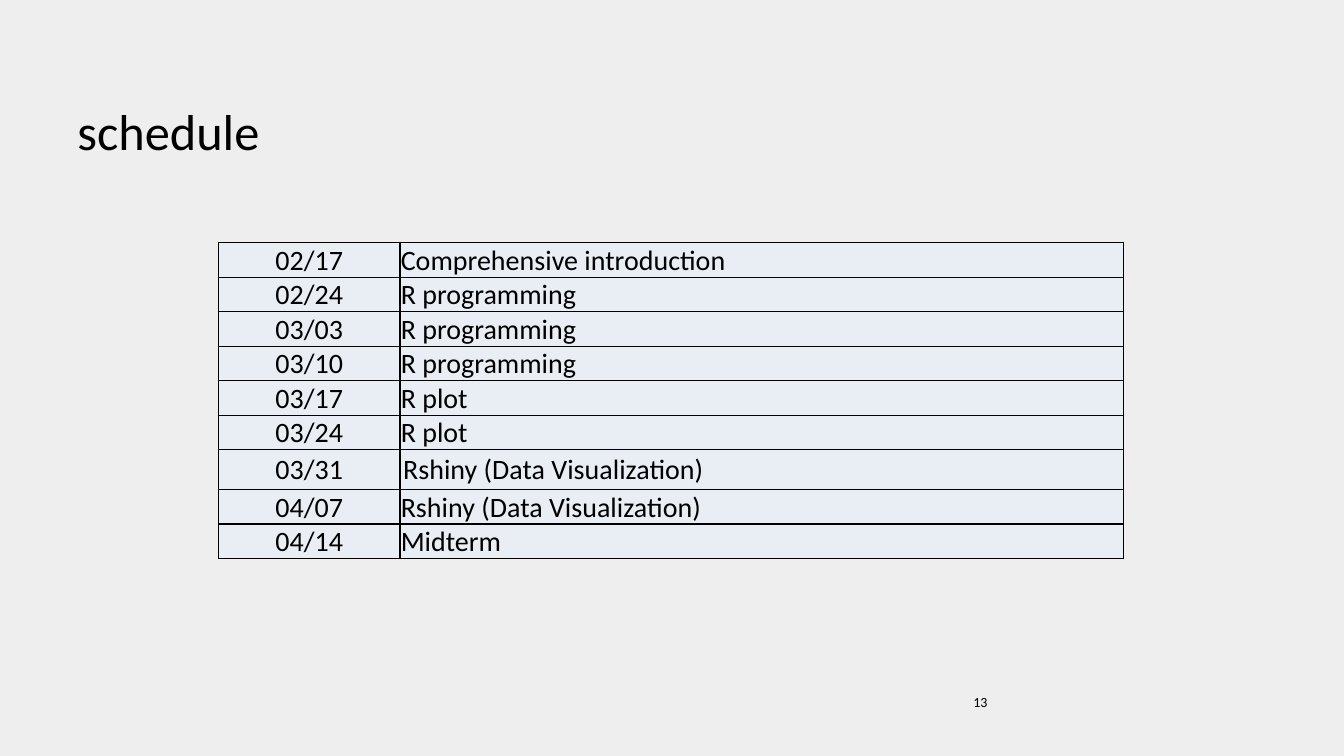
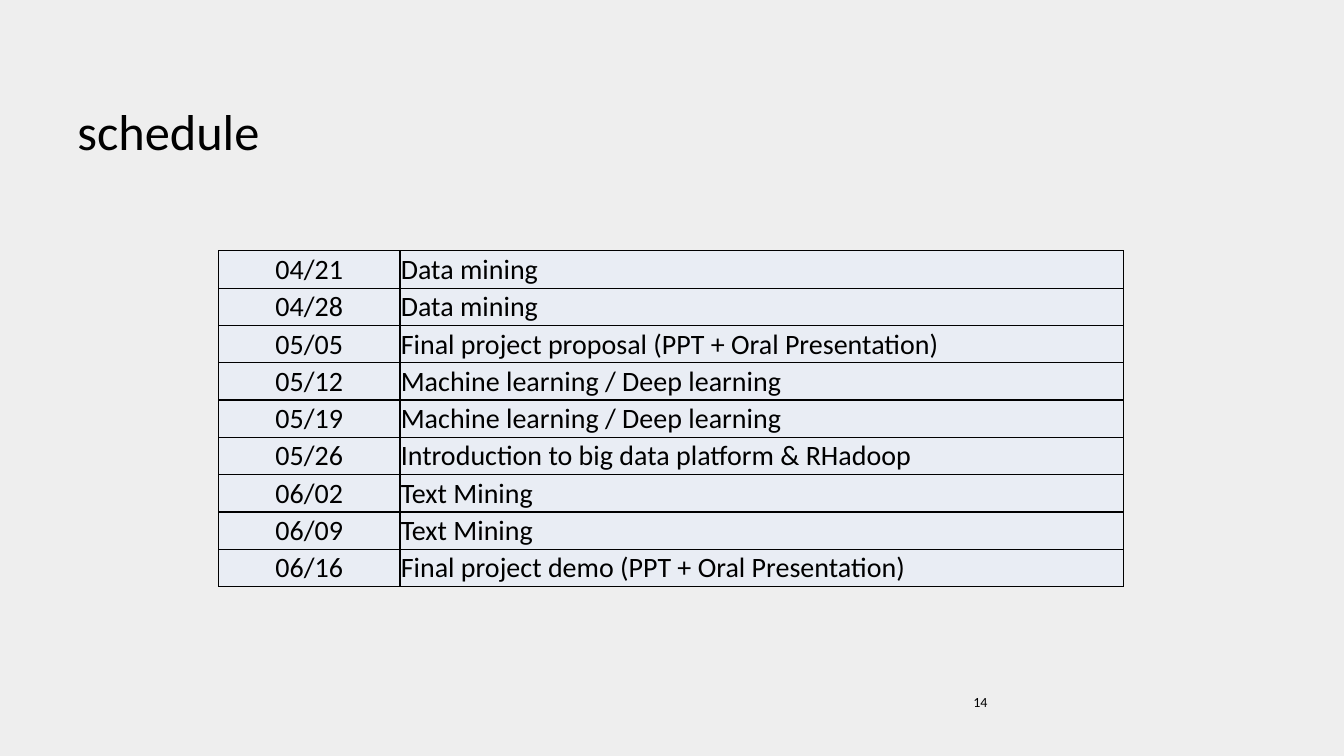
from lxml import etree
from pptx import Presentation
from pptx.dml.color import RGBColor
from pptx.enum import text
from pptx.oxml import ns
from pptx.util import Cm, Pt

TITLE = "schedule"
FONT = "Calibri"
PAPER, INK, CELL = "EEEEEE", "000000", "E9EDF4"
TITLE_BOX = (1.7, 0.99, 30.48, 3.18)
NUMBER_BOX = (24.28, 17.35, 7.9, 1.32)
TABLE_LEFT = 5.51
COLUMNS = (4.57, 18.24)
TIGHT = (0.02, 0.02, 0.02, 0)
ROOMY = (0.08, 0.08, 0.08, 0.08)

SCHEDULES = [
    {
        "number": "13", "top": 6.12, "row_height": 0.79, "roomy_date": "03/31",
        "rows": [
            ("02/17", "Comprehensive introduction"),
            ("02/24", "R programming"),
            ("03/03", "R programming"),
            ("03/10", "R programming"),
            ("03/17", "R plot"),
            ("03/24", "R plot"),
            ("03/31", "Rshiny (Data Visualization)"),
            ("04/07", "Rshiny (Data Visualization)"),
            ("04/14", "Midterm"),
        ],
    },
    {
        "number": "14", "top": 6.32, "row_height": 0.94, "roomy_date": None,
        "rows": [
            ("04/21", "Data mining"),
            ("04/28", "Data mining"),
            ("05/05", "Final project proposal (PPT + Oral Presentation)"),
            ("05/12", "Machine learning / Deep learning"),
            ("05/19", "Machine learning / Deep learning"),
            ("05/26", "Introduction to big data platform & RHadoop"),
            ("06/02", "Text Mining"),
            ("06/09", "Text Mining"),
            ("06/16", "Final project demo (PPT + Oral Presentation)"),
        ],
    },
]


def paint(target, color):
    target.solid()
    target.fore_color.rgb = RGBColor.from_string(color)


def write(frame, words, size, align=text.PP_ALIGN.LEFT):
    frame.text = words
    paragraph = frame.paragraphs[0]
    paragraph.alignment = align
    font = paragraph.runs[0].font
    font.name, font.size = FONT, Pt(size)
    font.color.rgb = RGBColor.from_string(INK)


def add_text(page, place, words, size, anchor):
    box = page.shapes.add_textbox(*map(Cm, place))
    box.text_frame.word_wrap = True
    box.text_frame.vertical_anchor = anchor
    write(box.text_frame, words, size)


def add_borders(cell):
    properties = cell._tc.get_or_add_tcPr()
    for index, side in enumerate(("a:lnL", "a:lnR", "a:lnT", "a:lnB")):
        line = etree.Element(ns.qn(side), w=str(Pt(1)))
        fill = etree.SubElement(line, ns.qn("a:solidFill"))
        etree.SubElement(fill, ns.qn("a:srgbClr"), val=INK)
        properties.insert(index, line)


def fill_cell(cell, words, align, margins):
    write(cell.text_frame, words, 20, align)
    cell.vertical_anchor = text.MSO_ANCHOR.MIDDLE
    (cell.margin_left, cell.margin_right,
     cell.margin_top, cell.margin_bottom) = map(Cm, margins)
    paint(cell.fill, CELL)
    add_borders(cell)


def add_schedule(page, schedule):
    rows = schedule["rows"]
    height = schedule["row_height"]
    table = page.shapes.add_table(
        len(rows), len(COLUMNS), Cm(TABLE_LEFT), Cm(schedule["top"]),
        Cm(sum(COLUMNS)), Cm(height * len(rows))).table
    table.first_row = table.horz_banding = False
    for column, width in zip(table.columns, COLUMNS):
        column.width = Cm(width)
    for index, (date, topic) in enumerate(rows):
        table.rows[index].height = Cm(height)
        margins = ROOMY if date == schedule["roomy_date"] else TIGHT
        fill_cell(table.cell(index, 0), date, text.PP_ALIGN.CENTER, TIGHT)
        fill_cell(table.cell(index, 1), topic, text.PP_ALIGN.LEFT, margins)


def main():
    deck = Presentation()
    deck.slide_width, deck.slide_height = Cm(33.87), Cm(19.05)
    paint(deck.slide_master.background.fill, PAPER)
    for schedule in SCHEDULES:
        page = deck.slides.add_slide(deck.slide_layouts[6])
        add_text(page, TITLE_BOX, TITLE, 36, text.MSO_ANCHOR.BOTTOM)
        add_text(page, NUMBER_BOX, schedule["number"], 10, text.MSO_ANCHOR.TOP)
        add_schedule(page, schedule)
    deck.save("out.pptx")


if __name__ == "__main__":
    main()
